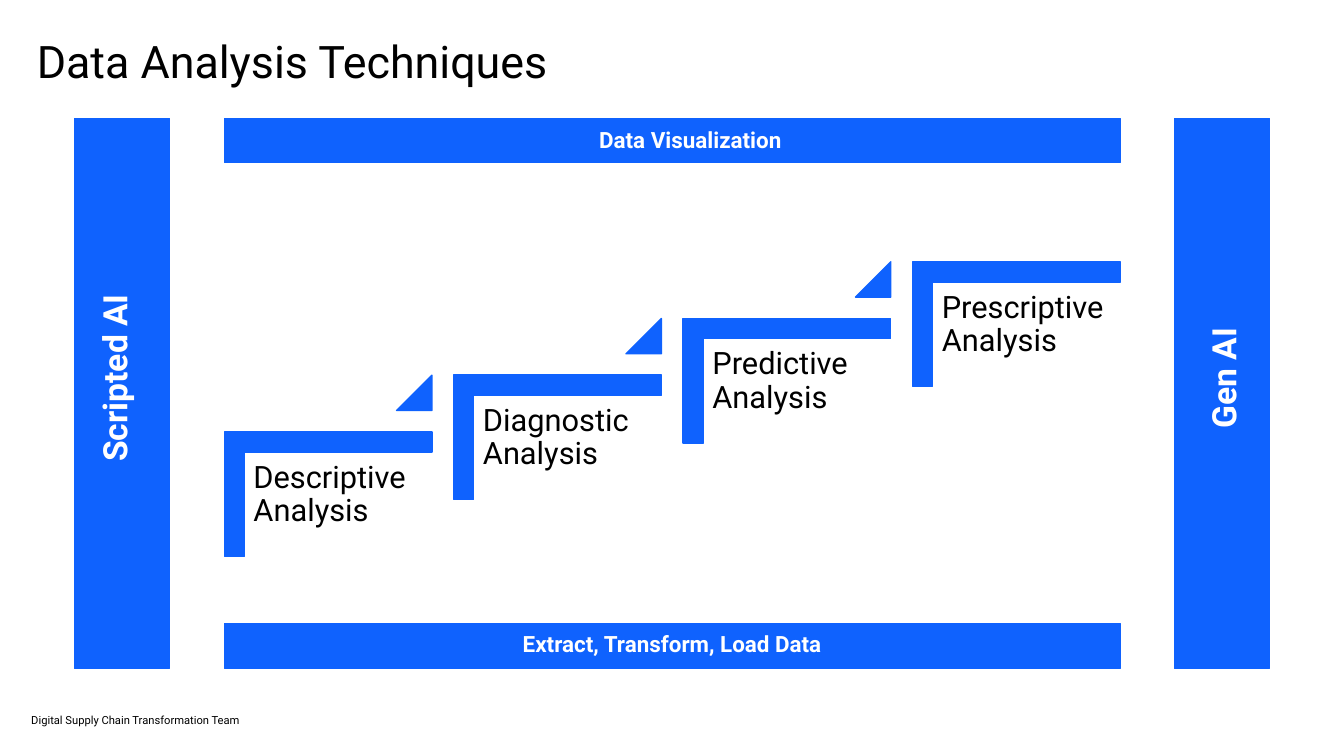
from pptx import Presentation
from pptx.dml.color import RGBColor
from pptx.enum.shapes import MSO_SHAPE as Shape
from pptx.enum.text import MSO_ANCHOR as Anchor, PP_ALIGN as Align
from pptx.util import Inches, Pt

# Content
TITLE = "Data Analysis Techniques"
FOOTER = "Digital Supply Chain Transformation Team"
STEPS = ["Descriptive Analysis", "Diagnostic Analysis",
         "Predictive Analysis", "Prescriptive Analysis"]
# Label, bar top, label centre x, label top
BANDS = [("Extract, Transform, Load Data", 12.38, 13.34, 12.5),
         ("Data Visualization", 2.35, 13.7, 2.5)]
# Label, bar left, label centre x
PILLARS = [("Scripted AI", 1.47, 2.14), ("Gen AI", 23.3, 24.15)]

# Style and grid, in inches
COLORS = {"blue": "0F62FE", "black": "000000", "white": "FFFFFF"}
FONT = "Roboto"
WIDTH, HEIGHT = 26.67, 15
LEFT, TOP, BOTTOM = 4.45, 2.35, 13.26
BAND_WIDTH, BAND_HEIGHT, PILLAR_WIDTH = 17.78, 0.88, 1.9
STEP_WIDTH, STEP_HEIGHT, STEP_TOP = 4.12, 2.47, 8.57
RISE, ARROW = 1.125, 0.7
PITCH = (BAND_WIDTH - STEP_WIDTH) / (len(STEPS) - 1)


def color(name):
    return RGBColor.from_string(COLORS[name])


def place(box, left, top, width, height):
    box.left, box.top = Inches(left), Inches(top)
    box.width, box.height = Inches(width), Inches(height)


def write(box, text, size, ink="black", bold=False, align=Align.LEFT,
          anchor=Anchor.TOP, inset=0):
    frame = box.text_frame
    frame.text = text
    frame.word_wrap = True
    frame.vertical_anchor = anchor
    frame.margin_left = frame.margin_right = Inches(inset)
    frame.margin_top = frame.margin_bottom = Inches(inset)
    para = frame.paragraphs[0]
    para.alignment = align
    font = para.runs[0].font
    font.name, font.size, font.bold = FONT, Pt(size), bold
    font.color.rgb = color(ink)
    return para


def add_text(page, left, top, width, height, text, size, **style):
    box = page.shapes.add_textbox(Inches(left), Inches(top),
                                  Inches(width), Inches(height))
    return box, write(box, text, size, **style)


def add_blue(page, kind, left, top, width, height, line=1.5):
    shape = page.shapes.add_shape(kind, Inches(left), Inches(top),
                                  Inches(width), Inches(height))
    shape.shadow.inherit = False
    shape.fill.solid()
    shape.fill.fore_color.rgb = color("blue")
    shape.line.color.rgb = color("blue")
    shape.line.width = Pt(line)
    return shape


def add_step(page, index, label):
    left = LEFT + index * PITCH
    top = STEP_TOP - index * RISE
    # The corner is turned a quarter, so its width and height swap
    shift = (STEP_WIDTH - STEP_HEIGHT) / 2
    corner = add_blue(page, Shape.CORNER, left + shift, top - shift,
                      STEP_HEIGHT, STEP_WIDTH, 2)
    corner.rotation = 90
    corner.adjustments[0] = corner.adjustments[1] = 0.161
    para = add_text(page, left + 0.4, top + 0.41, 3.72, 3.26,
                    label, 44, inset=0.18)[1]
    para.line_spacing = 0.9
    # Arrow towards the next step
    if index < len(STEPS) - 1:
        arrow = add_blue(page, Shape.ISOSCELES_TRIANGLE,
                         left + STEP_WIDTH - ARROW, top - RISE,
                         ARROW, ARROW, 2)
        arrow.adjustments[0] = 1


def main():
    deck = Presentation()
    deck.slide_width, deck.slide_height = Inches(WIDTH), Inches(HEIGHT)
    page = deck.slides.add_slide(deck.slide_layouts[5])

    # Title and footer
    title = page.shapes.title
    place(title, 0.63, 0.61, 17.03, 1.44)
    write(title, TITLE, 64, inset=0.1)
    title.text_frame.margin_top = Inches(0.05)
    add_text(page, 0.62, 14, 5.42, 0.42, FOOTER, 16, anchor=Anchor.BOTTOM)

    # Staircase
    for index, label in enumerate(STEPS):
        add_step(page, index, label)

    # Horizontal bands
    for label, top, center, text_top in BANDS:
        add_blue(page, Shape.RECTANGLE, LEFT, top, BAND_WIDTH, BAND_HEIGHT)
        add_text(page, center - 3.58, text_top, 7.16, 0.64, label, 32,
                 ink="white", bold=True, align=Align.CENTER)

    # Side pillars with upright labels
    for label, left, center in PILLARS:
        add_blue(page, Shape.RECTANGLE, left, TOP, PILLAR_WIDTH, BOTTOM - TOP)
        box = add_text(page, center - 2.11, HEIGHT / 2 - 0.28, 4.22, 0.56,
                       label, 48, ink="white", bold=True,
                       align=Align.CENTER)[0]
        box.rotation = 270

    deck.save("out.pptx")


if __name__ == "__main__":
    main()
